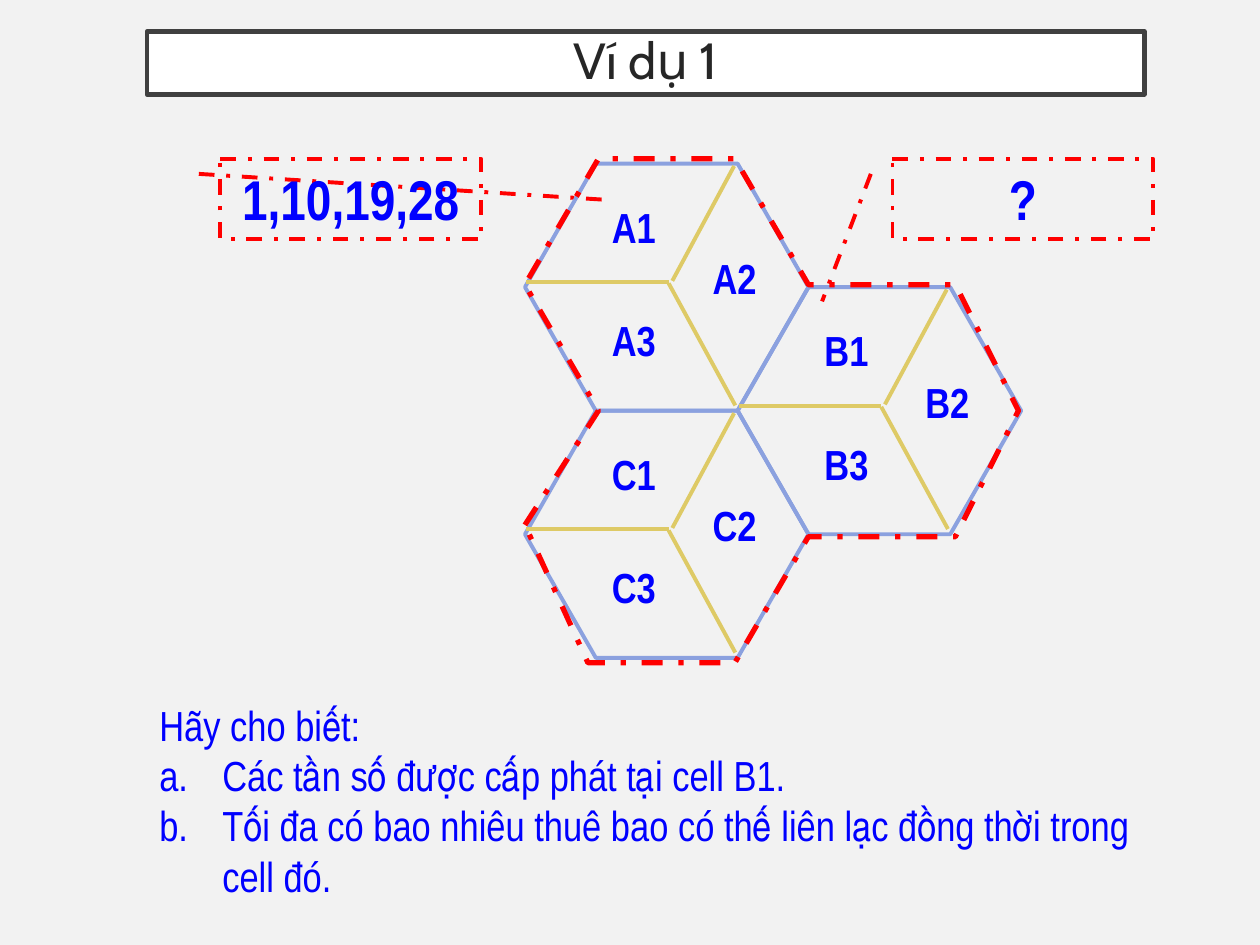
from typing import NamedTuple

from lxml.etree import SubElement
from pptx import Presentation
from pptx.dml.color import RGBColor
from pptx.enum.dml import MSO_LINE_DASH_STYLE as Dash
from pptx.enum.shapes import MSO_CONNECTOR as Connector, MSO_SHAPE as Shape
from pptx.enum.text import MSO_ANCHOR as Anchor, MSO_AUTO_SIZE as AutoSize, PP_ALIGN as Align
from pptx.oxml.ns import qn
from pptx.util import Pt

PAPER = RGBColor(0xF2, 0xF2, 0xF2)
WHITE = RGBColor(0xFF, 0xFF, 0xFF)
FRAME = RGBColor(0x40, 0x40, 0x40)
INK = RGBColor(0x26, 0x26, 0x26)
BLUE = RGBColor(0x00, 0x00, 0xFF)
RED = RGBColor(0xFF, 0x00, 0x00)
HEXAGON_BLUE = RGBColor(0x8B, 0xA1, 0xDF)
SECTOR_GOLD = RGBColor(0xDE, 0xCA, 0x66)

NARROW = "Arial Narrow"
CELL_WIDTH, CELL_HEIGHT = 162, 141.2
SLANT = CELL_WIDTH / 4

Point = tuple[float, float]


class Cell(NamedTuple):
    letter: str
    left: float
    top: float


class Callout(NamedTuple):
    text: str
    left: float
    tip_y: float
    tip_x: float


CELLS = [
    Cell("A", 300, 93.5),
    Cell("B", 300 + 3 * SLANT, 93.5 + CELL_HEIGHT / 2),
    Cell("C", 300, 93.5 + CELL_HEIGHT),
]
HEXAGON = [
    (SLANT, 0), (0, CELL_HEIGHT / 2), (SLANT, CELL_HEIGHT),
    (3 * SLANT, CELL_HEIGHT), (CELL_WIDTH, CELL_HEIGHT / 2), (3 * SLANT, 0),
]
SECTOR_LINES = [
    ((84.2, 67), (119.5, 1.4)),
    ((0.7, 67.7), (82.1, 67.7)),
    ((82.1, 68.4), (120.2, 138.2)),
]
SECTOR_LABELS = [(38.2, 18), (95.8, 47.5), (38.2, 82.8)]
CLUSTER_BORDER = [
    (300, 300), (342, 234.7), (300, 162.7), (342, 90.7), (420, 90.7), (462, 162.7),
    (546, 162.7), (582, 234.7), (546, 306.7), (462, 306.7), (420, 378.7), (336, 378.7),
]
KNOWN = Callout("1,10,19,28", 126, 0.512, 1.484)
UNKNOWN = Callout("?", 510, 1.772, -0.27)
QUESTIONS = [
    "Hãy cho biết:",
    "Các tần số được cấp phát tại cell B1.",
    "Tối đa có bao nhiêu thuê bao có thế liên lạc đồng thời trong cell đó.",
]


def style_line(line, color: RGBColor, width: float, dash=None) -> None:
    line.color.rgb = color
    line.width = Pt(width)
    if dash is not None:
        line.dash_style = dash


def style_text(paragraph, size: float, color=BLUE, name=NARROW, bold=False) -> None:
    for run in paragraph.runs:
        run.font.size = Pt(size)
        run.font.name = name
        run.font.bold = bold
        run.font.color.rgb = color


def write_centred(shape, text: str, size: float, color=BLUE, name=NARROW, bold=True) -> None:
    frame = shape.text_frame
    frame.text = text
    frame.word_wrap = True
    frame.vertical_anchor = Anchor.TOP
    paragraph = frame.paragraphs[0]
    paragraph.alignment = Align.CENTER
    style_text(paragraph, size, color, name, bold)


def draw_title(shapes) -> None:
    title = shapes.add_shape(Shape.RECTANGLE, Pt(84), Pt(18), Pt(570), Pt(36))
    title.shadow.inherit = False
    title.fill.solid()
    title.fill.fore_color.rgb = WHITE
    style_line(title.line, FRAME, 2.5)
    write_centred(title, "Ví dụ 1", 29, INK, "Cabin", False)
    title.text_frame.margin_top = title.text_frame.margin_bottom = 0
    title.text_frame.vertical_anchor = Anchor.MIDDLE
    title.text_frame.paragraphs[0].line_spacing = 0.9


def draw_callout(shapes, callout: Callout) -> None:
    box = shapes.add_shape(Shape.LINE_CALLOUT_1, Pt(callout.left), Pt(90.7), Pt(149), Pt(46))
    for index, value in enumerate((0.188, -0.083, callout.tip_y, callout.tip_x)):
        box.adjustments[index] = value
    box.shadow.inherit = False
    box.fill.background()
    style_line(box.line, RED, 2.25, Dash.DASH_DOT)
    write_centred(box, callout.text, 32)


def draw_polygon(shapes, points: list[Point], color: RGBColor, width: float, dash=None) -> None:
    corners = [(Pt(x), Pt(y)) for x, y in points]
    builder = shapes.build_freeform(*corners[0], scale=1.0)
    builder.add_line_segments(corners[1:], close=True)
    polygon = builder.convert_to_shape()
    polygon.shadow.inherit = False
    polygon.fill.background()
    style_line(polygon.line, color, width, dash)


def draw_cell(shapes, cell: Cell) -> None:
    def place(point: Point) -> Point:
        return cell.left + point[0], cell.top + point[1]

    draw_polygon(shapes, [place(corner) for corner in HEXAGON], HEXAGON_BLUE, 2.25)
    for start, end in SECTOR_LINES:
        ends = [Pt(value) for value in place(start) + place(end)]
        divider = shapes.add_connector(Connector.STRAIGHT, *ends)
        style_line(divider.line, SECTOR_GOLD, 2.25)
        SubElement(divider.element.spPr, qn("a:effectLst"))
    for number, corner in enumerate(SECTOR_LABELS, 1):
        left, top = place(corner)
        label = shapes.add_textbox(Pt(left), Pt(top), Pt(48), Pt(36))
        write_centred(label, f"{cell.letter}{number}", 24)
        label.text_frame.auto_size = AutoSize.SHAPE_TO_FIT_TEXT


def draw_questions(shapes) -> None:
    frame = shapes.add_textbox(Pt(84), Pt(396), Pt(595.5), Pt(122.4)).text_frame
    frame.word_wrap = True
    frame.auto_size = AutoSize.SHAPE_TO_FIT_TEXT
    frame.text = "\n".join(QUESTIONS)
    for index, paragraph in enumerate(frame.paragraphs):
        properties = paragraph._p.get_or_add_pPr()
        properties.set("marL", str(Pt(36)))
        properties.set("indent", str(Pt(-36)))
        if index:
            bullet_color = SubElement(properties, qn("a:buClr"))
            SubElement(bullet_color, qn("a:srgbClr"), val=str(BLUE))
            SubElement(properties, qn("a:buFont"), typeface=NARROW)
            SubElement(properties, qn("a:buAutoNum"), type="alphaLcPeriod")
        style_text(paragraph, 24)


def main() -> None:
    presentation = Presentation()
    presentation.slide_width, presentation.slide_height = Pt(720), Pt(540)
    slide = presentation.slides.add_slide(presentation.slide_layouts[6])
    slide.background.fill.solid()
    slide.background.fill.fore_color.rgb = PAPER

    draw_title(slide.shapes)
    draw_callout(slide.shapes, KNOWN)
    cluster = slide.shapes.add_group_shape().shapes
    for cell in CELLS:
        draw_cell(cluster, cell)
    draw_polygon(cluster, CLUSTER_BORDER, RED, 3, Dash.DASH_DOT)
    draw_callout(slide.shapes, UNKNOWN)
    draw_questions(slide.shapes)
    presentation.save("out.pptx")


if __name__ == "__main__":
    main()
